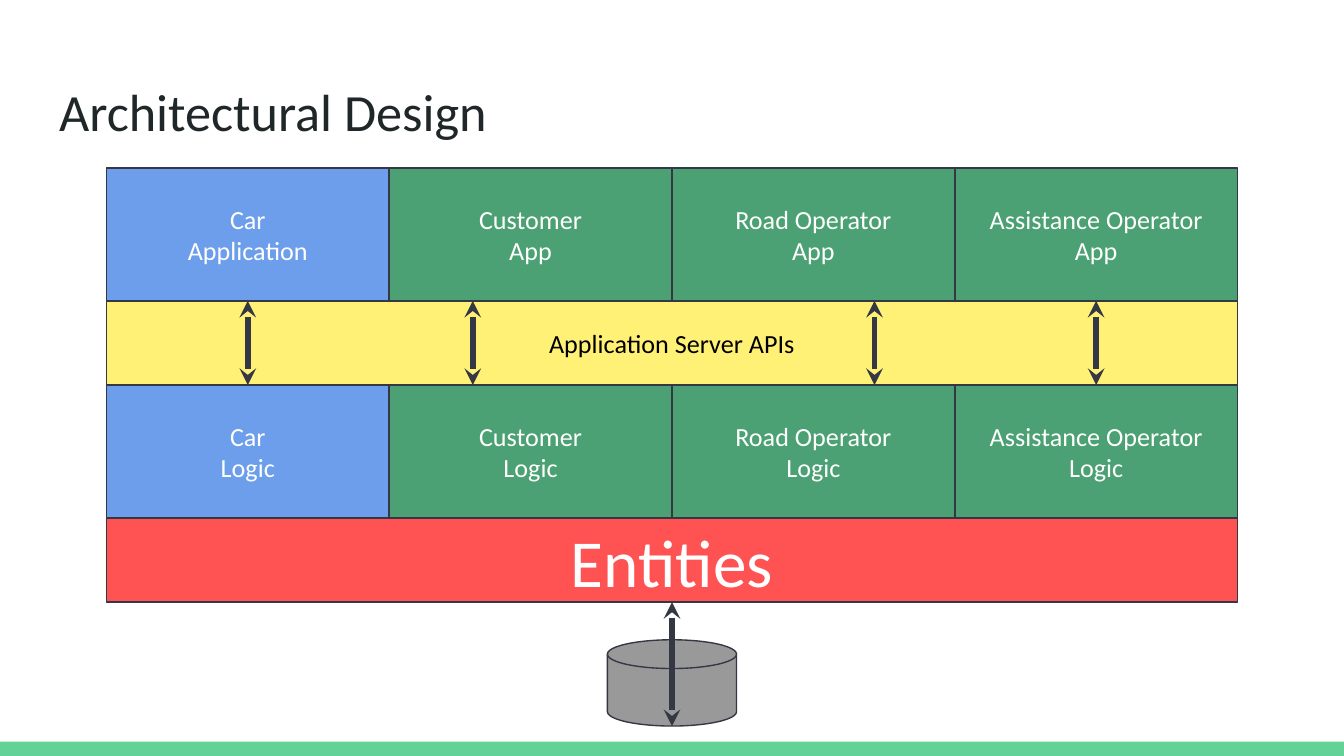
from lxml.etree import SubElement
from pptx import Presentation
from pptx.dml.color import RGBColor
from pptx.enum.shapes import MSO_CONNECTOR, MSO_SHAPE
from pptx.enum.text import MSO_ANCHOR, PP_ALIGN
from pptx.oxml.ns import qn
from pptx.util import Pt

WIDTH, HEIGHT = 720, 405
LEFT, TOP = 57, 90
COL_W, BLOCK_H, BAND_H = 151.5, 71.2, 45.1
FULL_W = 4 * COL_W

API_Y = TOP + BLOCK_H
LOGIC_Y = API_Y + BAND_H
ENTITIES_Y = LOGIC_Y + BLOCK_H
ENTITIES_END = ENTITIES_Y + BAND_H

BLUE, GREEN = "6D9EEB", "4BA173"
# Actor name with the break before its layer, and fill
ACTORS = [("Car\n", BLUE), ("Customer\n", GREEN),
          ("Road Operator\n", GREEN), ("Assistance Operator ", GREEN)]


def rgb(value):
    return RGBColor.from_string(value)


class Deck:
    font = "Calibri"
    ink = "353744"

    def __init__(self, s):
        self.s = s

    def set_text(self, sp, text, size, color, align, anchor):
        tf = sp.text_frame
        tf.word_wrap = True
        tf.vertical_anchor = anchor
        tf.margin_left = tf.margin_right = Pt(7.2)
        tf.margin_top = tf.margin_bottom = Pt(7.2)
        tf.text = text
        for p in tf.paragraphs:
            p.alignment = align
            p.line_spacing = 1.0
            p.space_before = Pt(0)
            p.font.name = self.font
            p.font.size = Pt(size)
            p.font.color.rgb = rgb(color)

    def title(self, text, x, y, w, h):
        sp = self.s.shapes.title
        sp.left, sp.top, sp.width, sp.height = Pt(x), Pt(y), Pt(w), Pt(h)
        self.set_text(sp, text, 28, "202729", PP_ALIGN.LEFT, MSO_ANCHOR.TOP)

    def shape(self, x, y, w, h, fill, kind=MSO_SHAPE.RECTANGLE, outlined=True):
        sp = self.s.shapes.add_shape(kind, Pt(x), Pt(y), Pt(w), Pt(h))
        sp.shadow.inherit = False
        sp.fill.solid()
        sp.fill.fore_color.rgb = rgb(fill)
        if outlined:
            sp.line.color.rgb = rgb(self.ink)
            sp.line.width = Pt(0.75)
        else:
            sp.line.fill.background()
        return sp

    def block(self, x, y, w, h, fill, text, size=14, color="FFFFFF"):
        sp = self.shape(x, y, w, h, fill)
        self.set_text(sp, text, size, color, PP_ALIGN.CENTER, MSO_ANCHOR.MIDDLE)

    def double_arrow(self, x, y1, y2):
        c = self.s.shapes.add_connector(
            MSO_CONNECTOR.STRAIGHT, Pt(x), Pt(y1), Pt(x), Pt(y2))
        c.line.color.rgb = rgb(self.ink)
        c.line.width = Pt(3)
        sp_pr = c.element.spPr
        ln = sp_pr.find(qn("a:ln"))
        for end in ("a:headEnd", "a:tailEnd"):
            SubElement(ln, qn(end), type="stealth", w="med", len="med")
        SubElement(sp_pr, qn("a:effectLst"))


def main():
    prs = Presentation()
    prs.slide_width, prs.slide_height = Pt(WIDTH), Pt(HEIGHT)
    deck = Deck(prs.slides.add_slide(prs.slide_layouts[5]))

    # Footer bar and title
    deck.shape(0, 397.3, WIDTH, 7.7, "63D297", outlined=False)
    deck.title("Architectural Design", 24.5, 35.3, 671, 45.1)

    # Entities and database
    deck.block(LEFT, ENTITIES_Y, FULL_W, BAND_H, "FF5252", "Entities", 36)
    deck.shape(325.4, 342.8, 69.2, 46.2, "999999",
               MSO_SHAPE.FLOWCHART_MAGNETIC_DISK)
    deck.double_arrow(WIDTH / 2, ENTITIES_END, 389)

    # Logic and application rows
    for y, layer, car_layer in ((LOGIC_Y, "Logic", "Logic"),
                                (TOP, "App", "Application")):
        for i, (actor, fill) in enumerate(ACTORS):
            text = actor + (car_layer if i == 0 else layer)
            deck.block(LEFT + i * COL_W, y, COL_W, BLOCK_H, fill, text)

    # API band with its links
    deck.block(LEFT, API_Y, FULL_W, BAND_H, "FFF176",
               "Application Server APIs", color="000000")
    for x in (132.75, 253.3, 468.5, 587.25):
        deck.double_arrow(x, API_Y, LOGIC_Y)

    prs.save("out.pptx")


if __name__ == "__main__":
    main()
